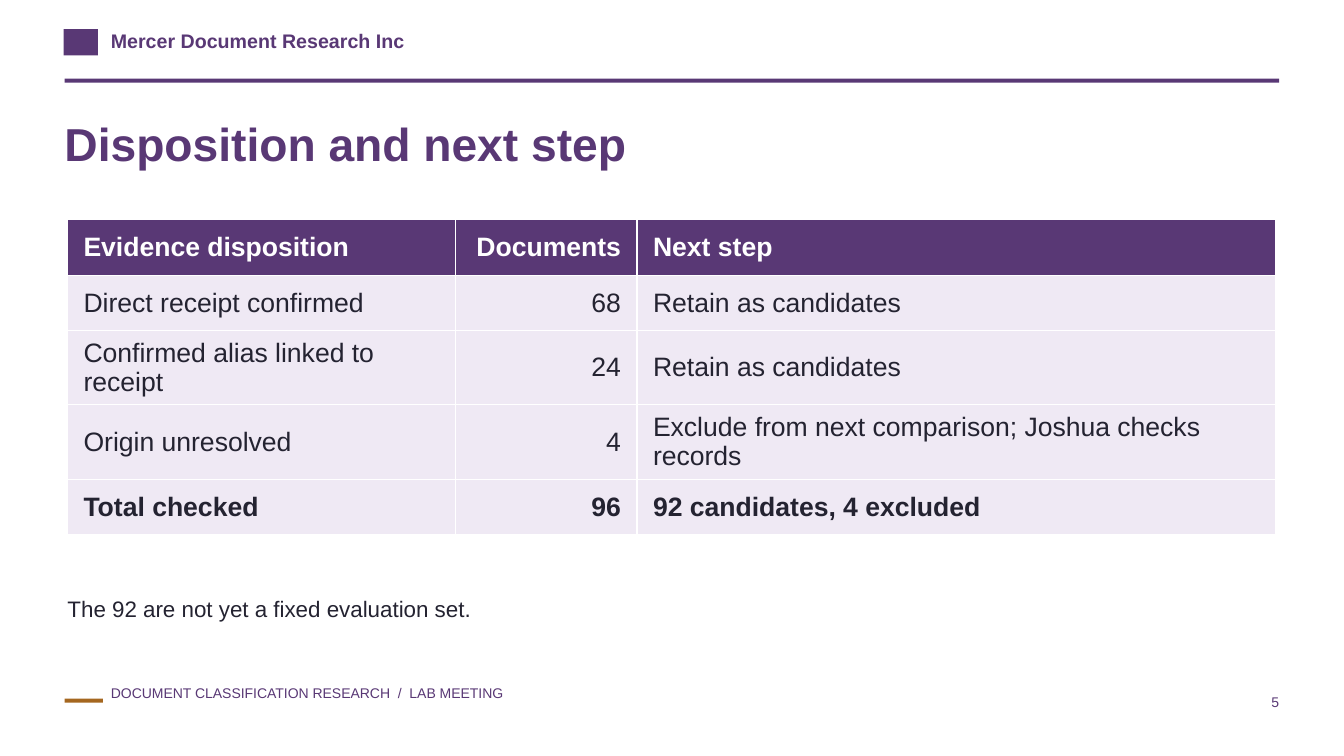
from pptx import Presentation
from pptx.dml.color import RGBColor
from pptx.enum.shapes import MSO_SHAPE
from pptx.enum.text import MSO_ANCHOR, PP_ALIGN
from pptx.util import Pt

PURPLE = "593875"
BROWN = "A56720"
LILAC = "EFE9F4"
INK = "242331"
WHITE = "FFFFFF"

COLUMN_WIDTHS = [277.2, 129.6, 456.5]
ROW_HEIGHTS = [39.6, 39.6, 39.6, 53.3, 39.6]
DISPOSITIONS = [
    ["Evidence disposition", "Documents", "Next step"],
    ["Direct receipt confirmed", "68", "Retain as candidates"],
    ["Confirmed alias linked to receipt", "24", "Retain as candidates"],
    ["Origin unresolved", "4", "Exclude from next comparison; Joshua checks records"],
    ["Total checked", "96", "92 candidates, 4 excluded"],
]


def color(value):
    """Return the colour for a hex string."""
    return RGBColor.from_string(value)


def format_text(text_frame, size, font_color, bold=False, align=PP_ALIGN.LEFT):
    """Set the alignment and font of a one-paragraph text frame."""
    paragraph = text_frame.paragraphs[0]
    paragraph.alignment = align
    for run in paragraph.runs:
        run.font.name = "Arial"
        run.font.size = Pt(size)
        run.font.bold = bold
        run.font.color.rgb = color(font_color)


def add_bar(slide, left, top, width, height, fill):
    """Add a plain filled rectangle."""
    shape = slide.shapes.add_shape(
        MSO_SHAPE.RECTANGLE, Pt(left), Pt(top), Pt(width), Pt(height)
    )
    shape.shadow.inherit = False
    shape.fill.solid()
    shape.fill.fore_color.rgb = color(fill)
    shape.line.fill.background()


def add_text(slide, text, left, top, width, height, size, font_color,
             bold=False, align=PP_ALIGN.LEFT, anchor=MSO_ANCHOR.TOP, space_after=0):
    """Add a text box without margins."""
    box = slide.shapes.add_textbox(Pt(left), Pt(top), Pt(width), Pt(height))
    text_frame = box.text_frame
    text_frame.margin_left = text_frame.margin_right = 0
    text_frame.margin_top = text_frame.margin_bottom = 0
    text_frame.word_wrap = True
    text_frame.vertical_anchor = anchor
    text_frame.text = text
    text_frame.paragraphs[0].space_after = Pt(space_after)
    format_text(text_frame, size, font_color, bold, align)


def add_disposition_table(slide, left, top):
    """Add the table with a header row, right-aligned counts and a bold total."""
    table = slide.shapes.add_table(
        len(ROW_HEIGHTS), len(COLUMN_WIDTHS), Pt(left), Pt(top),
        Pt(sum(COLUMN_WIDTHS)), Pt(sum(ROW_HEIGHTS))
    ).table
    for column, width in zip(table.columns, COLUMN_WIDTHS):
        column.width = Pt(width)
    last_row = len(DISPOSITIONS) - 1
    for row_index, texts in enumerate(DISPOSITIONS):
        table.rows[row_index].height = Pt(ROW_HEIGHTS[row_index])
        is_header = row_index == 0
        for column_index, text in enumerate(texts):
            cell = table.cell(row_index, column_index)
            cell.margin_left = cell.margin_right = Pt(11.5)
            cell.vertical_anchor = MSO_ANCHOR.MIDDLE
            cell.fill.solid()
            cell.fill.fore_color.rgb = color(PURPLE if is_header else LILAC)
            cell.text_frame.text = text
            format_text(
                cell.text_frame, 19, WHITE if is_header else INK,
                bold=row_index in (0, last_row),
                align=PP_ALIGN.RIGHT if column_index == 1 else PP_ALIGN.LEFT,
            )


def main():
    """Build and save the slide."""
    presentation = Presentation()
    presentation.slide_width = Pt(960)
    presentation.slide_height = Pt(540)
    slide = presentation.slides.add_slide(presentation.slide_layouts[6])

    add_bar(slide, 45.4, 20.9, 24.5, 18.7, PURPLE)
    add_text(slide, "Mercer Document Research Inc", 79.2, 20.9, 223.2, 21.6,
             14, PURPLE, bold=True)
    add_bar(slide, 46.1, 56.2, 867.6, 2.9, PURPLE)

    add_text(slide, "Disposition and next step", 46.1, 82.1, 866.9, 59,
             33, PURPLE, bold=True, space_after=8)
    add_disposition_table(slide, 48.2, 157)
    add_text(slide, "The 92 are not yet a fixed evaluation set.", 48.2, 424.8,
             863.3, 41.8, 16, INK, space_after=8)

    add_bar(slide, 46.1, 499, 27.4, 2.9, BROWN)
    add_text(slide, "DOCUMENT CLASSIFICATION RESEARCH  /  LAB MEETING",
             79.2, 488.9, 309.6, 25.2, 10, PURPLE)
    add_text(slide, "5", 867.6, 488.9, 46.1, 25.2, 10, PURPLE,
             align=PP_ALIGN.RIGHT, anchor=MSO_ANCHOR.MIDDLE)

    presentation.save("out.pptx")


if __name__ == "__main__":
    main()
